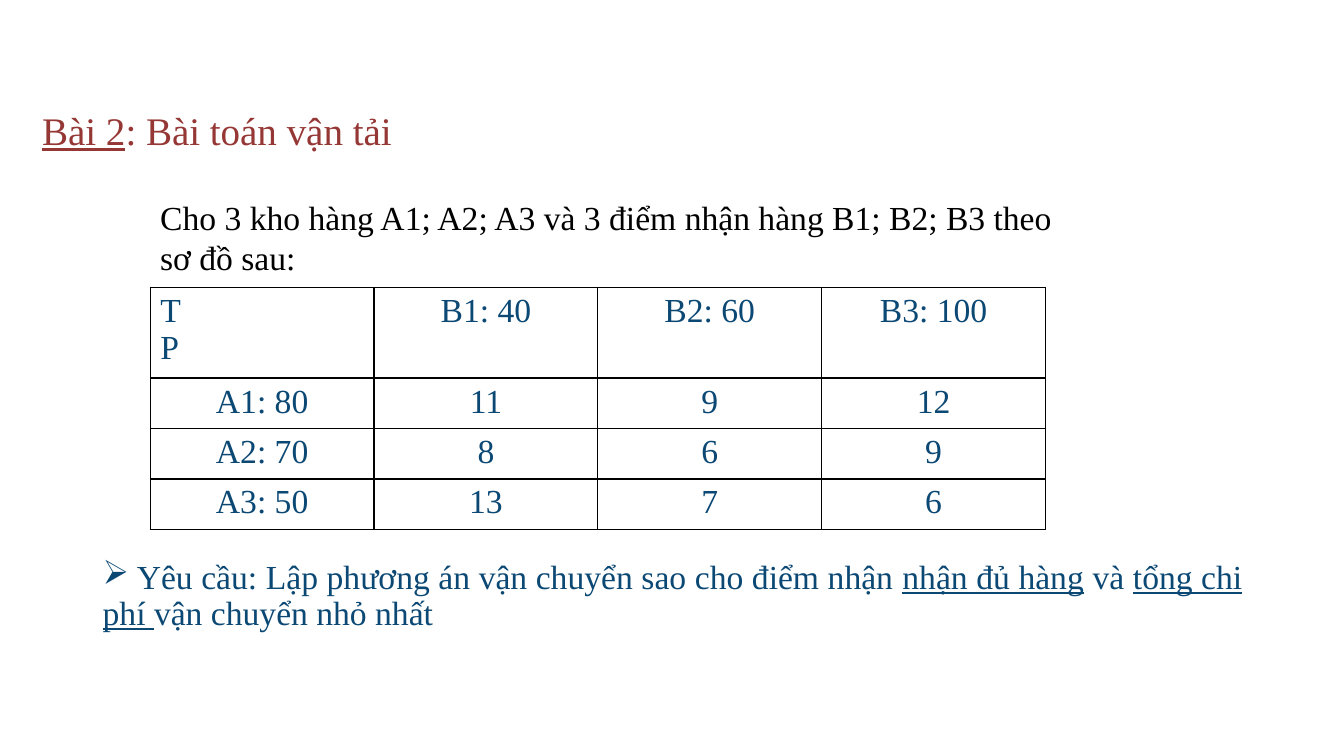
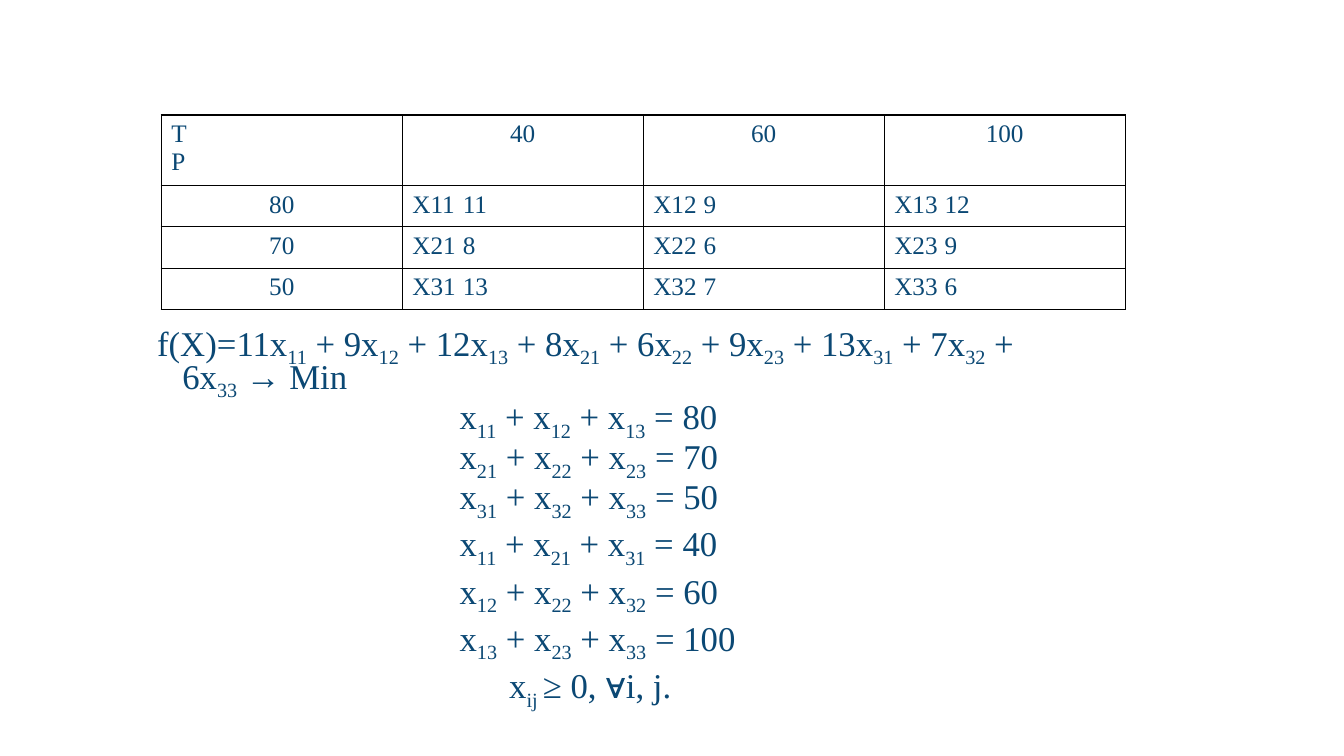
from lxml import etree
from pptx import Presentation
from pptx.dml.color import RGBColor
from pptx.enum.text import MSO_ANCHOR, PP_ALIGN
from pptx.oxml.ns import qn
from pptx.util import Inches, Pt

FONT = "Times New Roman"
COLORS = {"title": "953735", "body": "0B4874", "text": "000000", "border": "000000"}
SUPPLY = [80, 70, 50]
DEMAND = [40, 60, 100]
COSTS = [[11, 9, 12], [8, 6, 9], [13, 7, 6]]
N = range(1, 4)


def add_paragraph(tf, text, size=24, color="body", mark="underline", align=None,
                  line=1.0, before=0, margin=0, indent=0, bullet=None, tab=None):
    """Add a paragraph; the parts between | signs are underlined or subscript."""
    first = tf.paragraphs[0]
    p = first if not first.runs else tf.add_paragraph()
    p.alignment = align
    p.line_spacing = line
    p.space_before = Pt(before)
    for i, part in enumerate(text.split("|")):
        if not part:
            continue
        r = p.add_run()
        r.text = part
        r.font.name = FONT
        r.font.size = Pt(size)
        r.font.color.rgb = RGBColor.from_string(COLORS[color])
        if i % 2 and mark == "underline":
            r.font.underline = True
        elif i % 2:
            r.font._element.set("baseline", "-25000")
    pPr = p._p.get_or_add_pPr()
    pPr.set("marL", str(Inches(margin)))
    pPr.set("indent", str(Inches(indent)))
    if bullet:
        etree.SubElement(pPr, qn("a:buChar"), char=bullet)
    if tab:
        tabs = etree.SubElement(pPr, qn("a:tabLst"))
        etree.SubElement(tabs, qn("a:tab"), pos=str(Inches(tab)), algn="ctr")


def add_text_box(s, left, top, width, height, anchor=MSO_ANCHOR.TOP):
    box = s.shapes.add_textbox(Inches(left), Inches(top), Inches(width), Inches(height))
    tf = box.text_frame
    tf.word_wrap = True
    tf.vertical_anchor = anchor
    return tf


def set_borders(cell):
    tcPr = cell._tc.get_or_add_tcPr()
    for i, side in enumerate(("lnL", "lnR", "lnT", "lnB")):
        ln = etree.Element(qn(f"a:{side}"), w=str(Pt(1)))
        fill = etree.SubElement(ln, qn("a:solidFill"))
        etree.SubElement(fill, qn("a:srgbClr"), val=COLORS["border"])
        tcPr.insert(i, ln)


def add_cost_table(s, rows, left, top, col_width, head_height, row_height, size):
    """Add a bordered table; a tab in a cell sets the cost apart from its variable."""
    cols = len(rows[0])
    height = head_height + row_height * (len(rows) - 1)
    table = s.shapes.add_table(len(rows), cols, Inches(left), Inches(top),
                               Inches(col_width * cols), Inches(height)).table
    table.first_row = table.horz_banding = False
    for col in table.columns:
        col.width = Inches(col_width)
    for i, values in enumerate(rows):
        table.rows[i].height = Inches(row_height if i else head_height)
        for j, value in enumerate(values):
            cell = table.cell(i, j)
            cell.fill.background()
            set_borders(cell)
            tabbed = "\t" in value
            align = PP_ALIGN.LEFT if tabbed or i == j == 0 else PP_ALIGN.CENTER
            for text in value.split("\n"):
                add_paragraph(cell.text_frame, text, size=size, align=align,
                              tab=2.05 if tabbed else None)


def sum_of(cells):
    return " + ".join(f"x|{i}{j}|" for i, j in cells)


def build_problem(s):
    tf = add_text_box(s, 0.32, 1.03, 11.5, 0.57, MSO_ANCHOR.MIDDLE)
    add_paragraph(tf, "|Bài 2|: Bài toán vận tải", size=27.9, color="title", line=0.9)
    tf = add_text_box(s, 1.49, 1.9, 9.42, 0.91)
    add_paragraph(tf, "Cho 3 kho hàng A1; A2; A3 và 3 điểm nhận hàng B1; B2; B3 "
                      "theo sơ đồ sau:", color="text")
    rows = [["T\nP"] + [f"B{j}: {d}" for j, d in zip(N, DEMAND)]]
    rows += [[f"A{i}: {a}"] + [str(c) for c in costs]
             for i, a, costs in zip(N, SUPPLY, COSTS)]
    add_cost_table(s, rows, 1.49, 2.85, 2.22, 0.9, 0.5, size=24)
    tf = add_text_box(s, 0.92, 5.51, 11.5, 1.07)
    add_paragraph(tf, " Yêu cầu: Lập phương án vận chuyển sao cho điểm nhận "
                      "|nhận đủ hàng| và |tổng chi phí |vận chuyển nhỏ nhất",
                  align=PP_ALIGN.JUSTIFY, line=0.9, before=10, indent=-0.31, bullet="➢")


def build_model(s):
    formula = {"size": 24.8, "mark": "subscript", "line": 0.7, "indent": -0.25}
    tf = add_text_box(s, 1.46, 3.22, 8.79, 3.53)
    total = " + ".join(f"{c}x|{i}{j}|" for i, costs in zip(N, COSTS)
                       for j, c in zip(N, costs))
    add_paragraph(tf, f"f(X)={total} → Min", before=10, margin=0.25, **formula)
    for i, a in zip(N, SUPPLY):
        add_paragraph(tf, f"{sum_of((i, j) for j in N)} = {a}",
                      before=5, margin=3.25, **formula)
    for j, d in zip(N, DEMAND):
        add_paragraph(tf, f"{sum_of((i, j) for i in N)} = {d}",
                      before=10, margin=3.25, **formula)
    add_paragraph(tf, "x|ij |≥ 0, ∀i, j.", align=PP_ALIGN.CENTER,
                  before=10, margin=0.25, **formula)
    rows = [["T\nP"] + [str(d) for d in DEMAND]]
    rows += [[str(a)] + [f"X{i}{j}\t{c}" for j, c in zip(N, costs)]
             for i, a, costs in zip(N, SUPPLY, COSTS)]
    add_cost_table(s, rows, 1.6, 1.14, 2.39, 0.65, 0.41, size=18)


def main():
    prs = Presentation()
    prs.slide_width, prs.slide_height = Inches(13.33), Inches(7.5)
    for build in (build_problem, build_model):
        build(prs.slides.add_slide(prs.slide_layouts[6]))
    prs.save("out.pptx")


if __name__ == "__main__":
    main()
